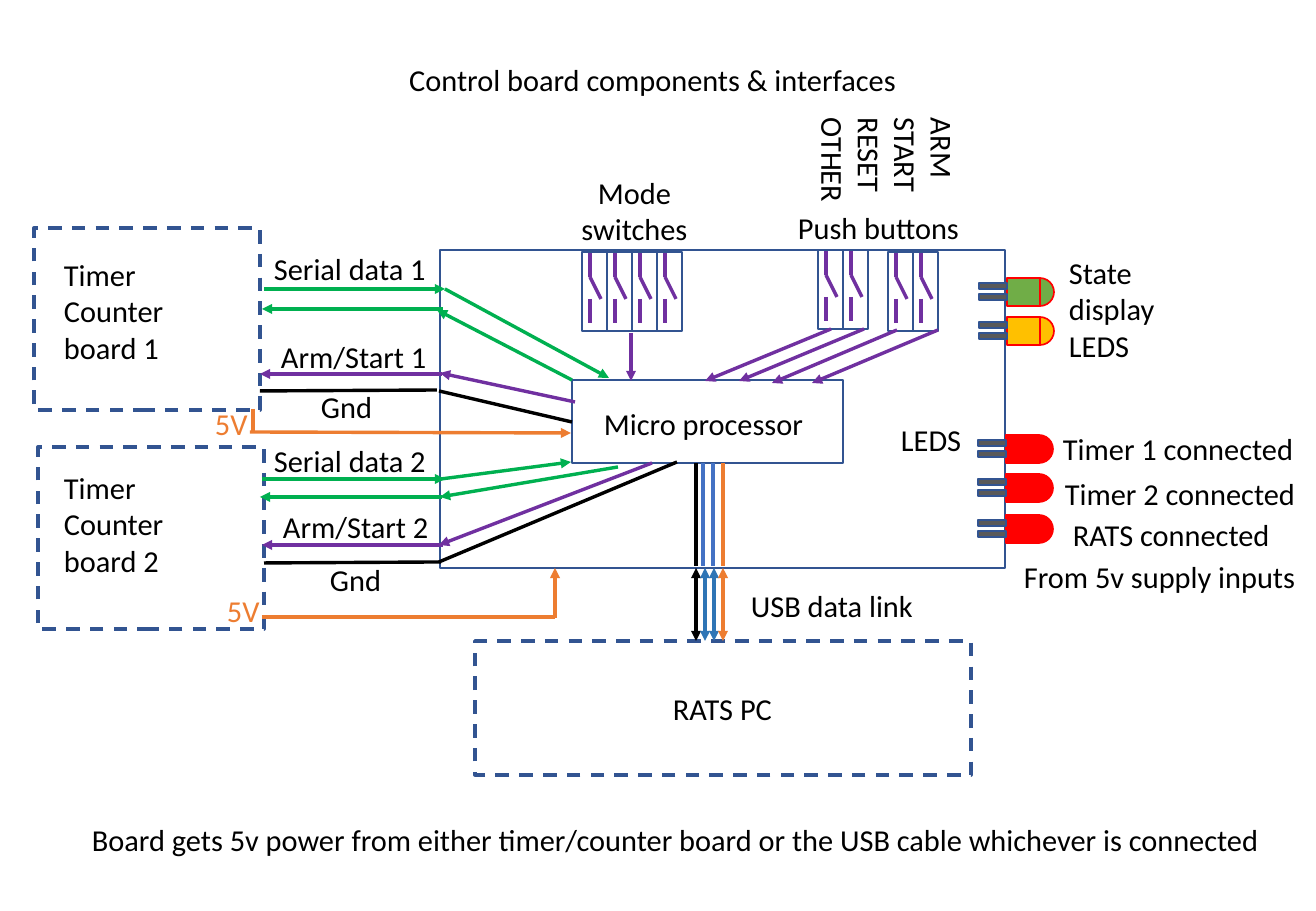
from pptx import Presentation
from pptx.dml.color import RGBColor
from pptx.enum.dml import MSO_LINE
from pptx.enum.shapes import MSO_CONNECTOR, MSO_SHAPE
from pptx.enum.text import MSO_ANCHOR, MSO_AUTO_SIZE, PP_ALIGN
from pptx.oxml.ns import qn
from pptx.util import Pt
from lxml import etree

RECT, CHORD = MSO_SHAPE.RECTANGLE, MSO_SHAPE.CHORD
DASH, LINE = MSO_LINE.DASH, MSO_CONNECTOR.STRAIGHT
LEFT, MID, TOP = PP_ALIGN.LEFT, PP_ALIGN.CENTER, MSO_ANCHOR.TOP
GROW = MSO_AUTO_SIZE.SHAPE_TO_FIT_TEXT
PX = 914400 / 121.5

THEME = {
    "font": "Calibri", "size": 18, "thin": 1, "thick": 2,
    "black": "000000", "edge": "325491", "pin": "595959",
    "green": "00B050", "purple": "7030A0", "orange": "ED7D31",
    "blue": "4472C4", "cable": "2E75B6",
    "red": "FF0000", "lime": "70AD47", "amber": "FFC000",
}

TITLE = ("Control board components & interfaces", (397, 55, 518, 49))

# left, top, width, height, dashed
BOXES = [
    (440, 250, 565, 318, False),
    (34, 228, 226, 182, True),
    (38, 447, 226, 182, True),
    (475, 641, 496, 134, True),
    (572, 380, 271, 83, False),
]

# text, left, top, width, colour
LABELS = [
    ("Serial data 1", 262, 244, 179, "black"),
    ("Serial data 2", 262, 436, 179, "black"),
    ("Arm/Start 1", 269, 332, 171, "black"),
    ("Arm/Start 2", 271, 502, 171, "black"),
    ("Gnd", 309, 382, 77, "black"),
    ("Gnd", 318, 555, 77, "black"),
    ("5V", 203, 399, 57, "orange"),
    ("5V", 215, 586, 57, "orange"),
    ("Push buttons", 786, 203, 188, "black"),
    ("Micro processor", 592, 399, 226, "black"),
    ("USB data link", 739, 581, 188, "black"),
    ("RATS PC", 661, 684, 124, "black"),
    ("LEDS", 889, 415, 85, "black"),
    ("Timer 1 connected", 1051, 424, 258, "black"),
    ("Timer 2 connected", 1053, 469, 258, "black"),
    ("RATS connected", 1061, 510, 224, "black"),
    ("From 5v supply inputs", 1012, 552, 299, "black"),
    ("Board gets 5v power from either timer/counter board or the USB "
     "cable whichever is connected", 80, 815, 1206, "black"),
]

# paragraphs, place, alignment
NOTES = [
    (["Timer Counter board 1"], (52, 250, 185, 123), LEFT),
    (["Timer Counter board 2"], (52, 463, 185, 123), LEFT),
    (["Mode switches"], (566, 168, 137, 86), MID),
    (["State display", "LEDS"], (1057, 248, 117, 123), LEFT),
]
KEYS = (["ARM", "START", "RESET", "OTHER"], (833, 81, 109, 159))

# colour, arrowheads, from and to points
WIRES = [
    ("green", "end", 264, 289, 445, 289),
    ("green", "end", 443, 309, 262, 309),
    ("green", "end", 262, 479, 445, 479),
    ("green", "end", 442, 497, 260, 497),
    ("purple", "end", 442, 374, 260, 374),
    ("purple", "end", 443, 545, 262, 545),
    ("black", "", 260, 391, 437, 390),
    ("black", "", 264, 563, 441, 562),
    ("green", "end", 572, 380, 437, 310),
    ("green", "end", 445, 289, 609, 378),
    ("green", "end", 441, 479, 571, 462),
    ("green", "end", 618, 467, 440, 497),
    ("purple", "end", 652, 463, 439, 545),
    ("purple", "end", 575, 402, 440, 373),
    ("black", "", 439, 391, 572, 422),
    ("black", "", 439, 562, 677, 462),
    ("purple", "end", 831, 329, 705, 381),
    ("purple", "end", 864, 329, 739, 381),
    ("purple", "end", 897, 330, 772, 383),
    ("purple", "end", 938, 330, 812, 383),
    ("purple", "end", 631, 333, 631, 381),
    ("orange", "", 262, 617, 555, 617),
    ("orange", "end", 555, 618, 555, 568),
    ("orange", "end", 250, 432, 571, 433),
    ("orange", "", 253, 409, 253, 432),
]

# USB: outer colour, outer x, inner colour, inner x
USB = [("black", 696, "black", 696), ("cable", 705, "blue", 703),
       ("cable", 714, "blue", 713), ("orange", 723, "orange", 723)]
WIRES += [("%s" % hue, "both", x, 568, x, 641) for hue, x, _, _ in USB]
WIRES += [(hue, "", x, 566, x, 463) for _, _, hue, x in USB]

BANKS = [(582, 252, 4), (818, 250, 2), (888, 252, 2)]  # left, top, count
LEDS = [(979, 278, "lime"), (979, 317, "amber"),
        (978, 435, "red"), (978, 474, "red"), (978, 515, "red")]


def px(*nums):
    """Turn pixels into EMU."""
    return [round(n * PX) for n in nums]


def rgb(hue):
    """Look up a theme colour."""
    return RGBColor.from_string(THEME[hue])


def block(to, kind, place, edge="edge", fill=None, width="thin"):
    """Add a preset shape."""
    shape = to.add_shape(kind, *px(*place))
    shape.shadow.inherit = False
    if fill:
        shape.fill.solid()
        shape.fill.fore_color.rgb = rgb(fill)
    else:
        shape.fill.background()
    shape.line.color.rgb = rgb(edge)
    shape.line.width = Pt(THEME[width])
    return shape


def wire(to, hue, heads, *ends):
    """Add a line, with arrowheads at its end or at both ends."""
    link = to.add_connector(LINE, *px(*ends))
    link.line.color.rgb = rgb(hue)
    link.line.width = Pt(THEME["thick"])
    tags = {"": [], "end": ["a:tailEnd"], "both": ["a:headEnd", "a:tailEnd"]}
    for tag in tags[heads]:
        etree.SubElement(link.line._ln, qn(tag), type="triangle")
    etree.SubElement(link._element.spPr, qn("a:effectLst"))


def write(box, lines, hue="black", align=LEFT, wrap=False):
    """Fill a box with styled paragraphs."""
    frame = box.text_frame
    frame.text = "\n".join(lines)
    frame.word_wrap, frame.auto_size = wrap, GROW
    frame.vertical_anchor = TOP
    for para in frame.paragraphs:
        para.alignment = align
        para.font.name, para.font.size = THEME["font"], Pt(THEME["size"])
        para.font.color.rgb = rgb(hue)


def bank(to, left, top, count):
    """Add a row of switches as one group."""
    group = to.add_group_shape().shapes
    for x in range(left, left + 25 * count, 25):
        stem = x + 8
        wire(group, "purple", "", stem, top, stem, top + 25)
        wire(group, "purple", "", stem, top + 25, stem + 11, top + 47)
        wire(group, "purple", "", stem, top + 47, stem, top + 71)
        block(group, RECT, (x, top, 25, 79))


def led(to, left, top, hue):
    """Add a lamp with a dome, a body and two pins."""
    group = to.add_group_shape().shapes
    dome = block(group, CHORD, (left + 47, top, 28, 28), "red", hue)
    dome.adjustments[0], dome.adjustments[1] = 162, 54
    block(group, RECT, (left + 28, top, 33, 28), "red", hue)
    for drop in (5, 16):
        block(group, RECT, (left, top + drop, 28, 6), fill="pin")


deck = Presentation()
deck.slide_width, deck.slide_height = px(1316, 911)
slide = deck.slides.add_slide(deck.slide_layouts[5])
shapes = slide.shapes

title = shapes.title
title.left, title.top, title.width, title.height = px(*TITLE[1])
write(title, [TITLE[0]])

for *place, dashed in BOXES:
    box = block(shapes, RECT, place, width="thick" if dashed else "thin")
    if dashed:
        box.line.dash_style = DASH
for row in BANKS:
    bank(shapes, *row)
for row in LEDS:
    led(shapes, *row)
for row in WIRES:
    wire(shapes, *row)
for text, left, top, width, hue in LABELS:
    write(shapes.add_textbox(*px(left, top, width, 49)), [text], hue)
for lines, place, align in NOTES:
    write(shapes.add_textbox(*px(*place)), lines, align=align, wrap=True)
keys = shapes.add_textbox(*px(*KEYS[1]))
keys.rotation = 90
write(keys, KEYS[0])

deck.save("out.pptx")
